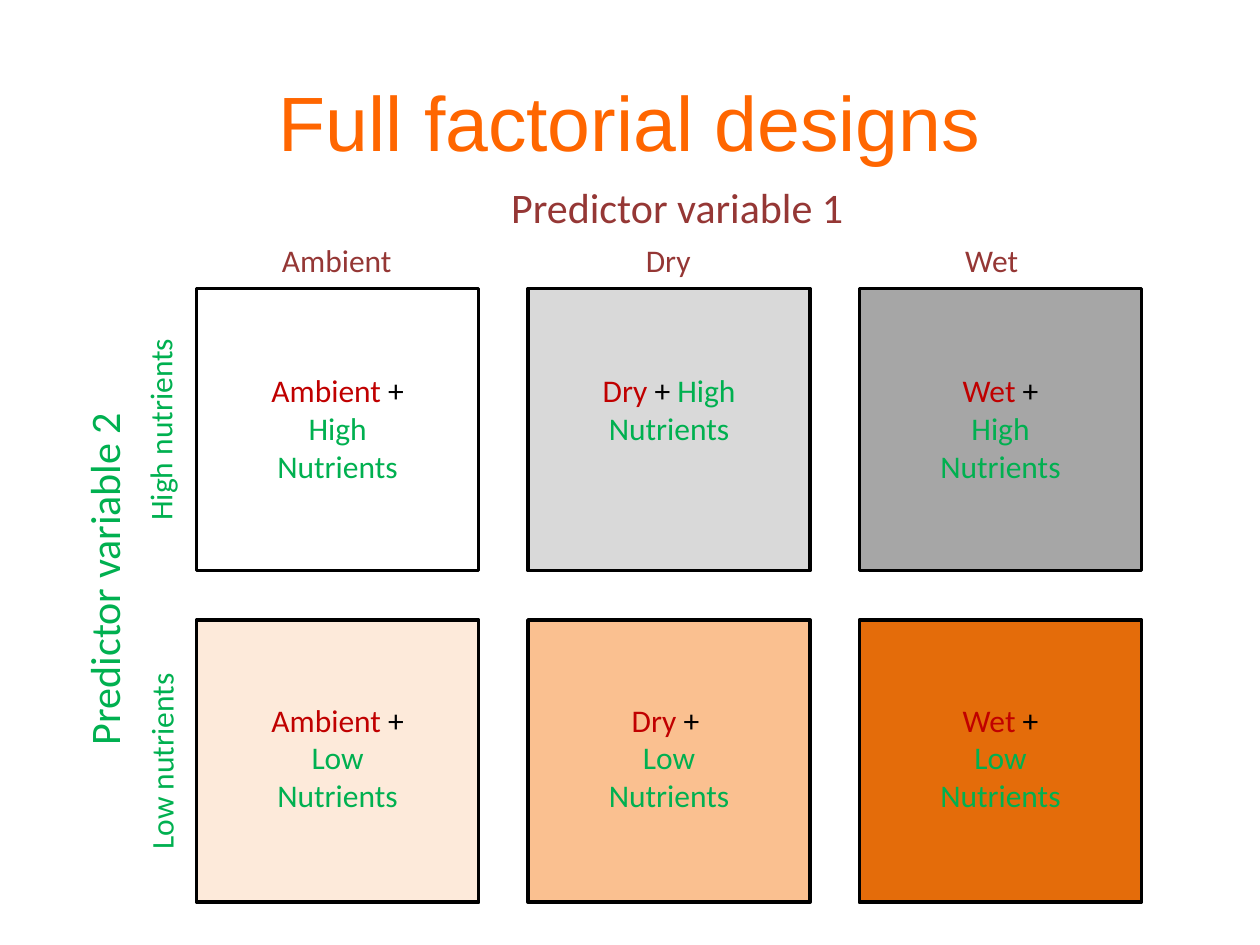
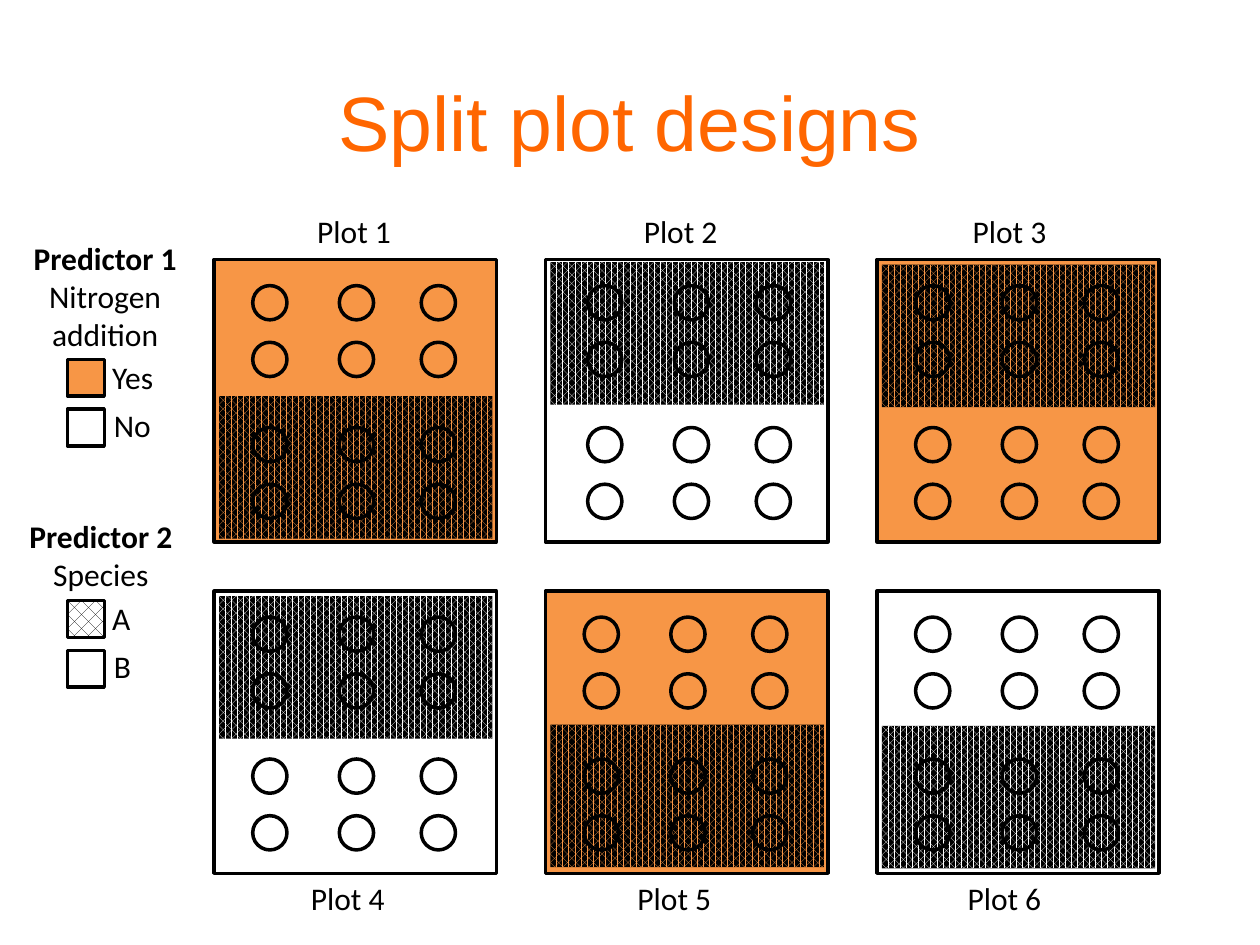
from pptx import Presentation
from pptx.dml.color import RGBColor
from pptx.enum import dml, shapes, text
from pptx.util import Pt

COLORS = {
    "title": "FF6600", "ink": "000000", "paper": "FFFFFF",
    "moisture_head": "953735", "moisture": "C00000", "nutrients": "00B050",
    "nitrogen": "F79646",
}
TREATMENT_FILLS = [["FFFFFF", "D9D9D9", "A6A6A6"], ["FDEADA", "FAC090", "E46C0A"]]
MOISTURES = ["Ambient", "Dry", "Wet"]
NUTRIENTS = ["High", "Low"]
SQUARE = 161.3
STEP = 189.4
CIRCLE = 19.6
CIRCLE_COLUMNS = [22, 71.5, 118.3]
CIRCLE_ROWS = [14.8, 47.2, 95.9, 128.3]
# fmt: nitrogen, band top, circle shift, label offset
PLOTS = [
    (True, 78, 0, 51.8), (False, 1.4, 2, 49), (True, 2.9, 0, 47.5),
    (False, 2.9, 0, 48.2), (True, 76.3, 0, 45.4), (False, 77, 0, 44.6),
]


def rgb(name):
    return RGBColor.from_string(COLORS.get(name, name))


def apply(target, formats):
    for key, value in formats.items():
        setattr(target, key, value)


def style_run(run, color, size=18, font="Calibri", bold=False):
    apply(run.font, {"name": font, "size": Pt(size), "bold": bold})
    run.font.color.rgb = rgb(color)


def new_slide(deck, heading):
    slide = deck.slides.add_slide(deck.slide_layouts[5])
    title = slide.shapes.title
    apply(title, {"left": Pt(0), "top": Pt(24), "width": Pt(720), "height": Pt(90)})
    title.text_frame.text = heading
    style_run(title.text_frame.paragraphs[0].runs[0], "title", 44, "Arial")
    return slide


def add_text(slide, box, paragraphs, size=18, wrap=False, center=False, bold_first=False, turn=0):
    label = slide.shapes.add_textbox(*map(Pt, box))
    label.rotation = turn
    frame = label.text_frame
    apply(frame, {"word_wrap": wrap, "auto_size": text.MSO_AUTO_SIZE.SHAPE_TO_FIT_TEXT})
    for index, runs in enumerate(paragraphs):
        line = frame.add_paragraph() if index else frame.paragraphs[0]
        line.alignment = text.PP_ALIGN.CENTER if center else text.PP_ALIGN.LEFT
        for words, color in runs:
            run = line.add_run()
            run.text = words
            style_run(run, color, size, bold=bold_first and index == 0)


def add_figure(slide, box, fill=None, pattern=None, outlined=True, kind="RECTANGLE"):
    figure = slide.shapes.add_shape(shapes.MSO_SHAPE[kind], *map(Pt, box))
    figure.shadow.inherit = False
    if pattern:
        figure.fill.patterned()
        figure.fill.pattern = dml.MSO_PATTERN[pattern[0]]
        figure.fill.fore_color.rgb, figure.fill.back_color.rgb = map(rgb, pattern[1:])
    elif fill:
        figure.fill.solid()
        figure.fill.fore_color.rgb = rgb(fill)
    else:
        figure.fill.background()
    if outlined:
        figure.line.color.rgb = rgb("ink")
        figure.line.width = Pt(2)
    else:
        figure.line.fill.background()


def add_treatment(slide, left, top, row, column):
    add_figure(slide, (left, top, SQUARE, SQUARE), TREATMENT_FILLS[row][column])
    moisture = [(MOISTURES[column], "moisture"), (" + ", "ink")]
    nutrient = [(f"{NUTRIENTS[row]} Nutrients", "nutrients")]
    own_line = (row, column) == (1, 1)
    paragraphs = [moisture, nutrient] if own_line else [moisture + nutrient]
    add_text(slide, (left + 35.3, top + 43.5 - row, 90.7, 72.7), paragraphs,
             wrap=True, center=True)


def add_factor_labels(slide):
    add_text(slide, (285, 100, 206, 36), [[("Predictor variable 1", "moisture_head")]], 24)
    add_text(slide, (-43.9, 311.8, 206, 36), [[("Predictor variable 2", "nutrients")]], 24, turn=270)
    for moisture, left, width in zip(MOISTURES, (154, 362, 544.5), (77.8, 40.3, 45.4)):
        add_text(slide, (left, 134, width, 29), [[(moisture, "moisture_head")]])
    for level, left, top, width in zip(NUTRIENTS, (31.7, 33.8), (230.4, 419.8), (119.5, 116.6)):
        add_text(slide, (left, top, width, 29), [[(f"{level} nutrients", "nutrients")]], turn=270)


def factorial_slide(deck):
    slide = new_slide(deck, "Full factorial designs")
    for row in range(2):
        for column in range(3):
            add_treatment(slide, 112.3 + column * STEP, 164.9 + row * STEP, row, column)
    add_factor_labels(slide)


def add_plot(slide, left, top, number, label_top):
    nitrogen, band_top, shift, label_left = PLOTS[number - 1]
    add_figure(slide, (left, top, SQUARE, SQUARE), "nitrogen" if nitrogen else None)
    add_figure(slide, (left + 2.8, top + band_top, 156.2, 81.4), outlined=False,
               pattern=("PERCENT_70", "nitrogen" if nitrogen else "paper", "ink"))
    for circle_top in CIRCLE_ROWS:
        for circle_left in CIRCLE_COLUMNS:
            add_figure(slide, (left + circle_left + shift, top + circle_top, CIRCLE, CIRCLE),
                       kind="OVAL")
    add_text(slide, (left + label_left, top + label_top, 56.9, 29), [[(f"Plot {number}", "ink")]])


def add_legend(slide, box, heading, factor, first_key, entries):
    left, top, width, height = box
    add_text(slide, box, [[(heading, "ink")], [(factor, "ink")]],
             wrap=True, center=True, bold_first=True)
    for index, (name, fill, pattern) in enumerate(entries):
        key_top = top + first_key + index * 28.4
        add_figure(slide, (38.6, key_top, 21, 21), fill, pattern)
        add_text(slide, (57 + index, key_top - 4.6 - index * 0.8, 84, 29), [[(name, "ink")]], wrap=True)


def split_plot_slide(deck):
    slide = new_slide(deck, "Split plot designs")
    for index in range(len(PLOTS)):
        row, column = divmod(index, 3)
        add_plot(slide, 122.4 + column * STEP, 148.4 + row * STEP, index + 1, (-30.6, 161)[row])
    add_legend(slide, (8.6, 133.2, 103, 72.7), "Predictor 1", "Nitrogen addition", 72.2,
               [("Yes", "nitrogen", None), ("No", "paper", None)])
    add_legend(slide, (5.8, 291.8, 103.7, 51), "Predictor 2", "Species", 51.4,
               [("A", None, ("PERCENT_25", "ink", "paper")), ("B", "paper", None)])


def main():
    deck = Presentation()
    apply(deck, {"slide_width": Pt(720), "slide_height": Pt(540)})
    factorial_slide(deck)
    split_plot_slide(deck)
    deck.save("out.pptx")


if __name__ == "__main__":
    main()
